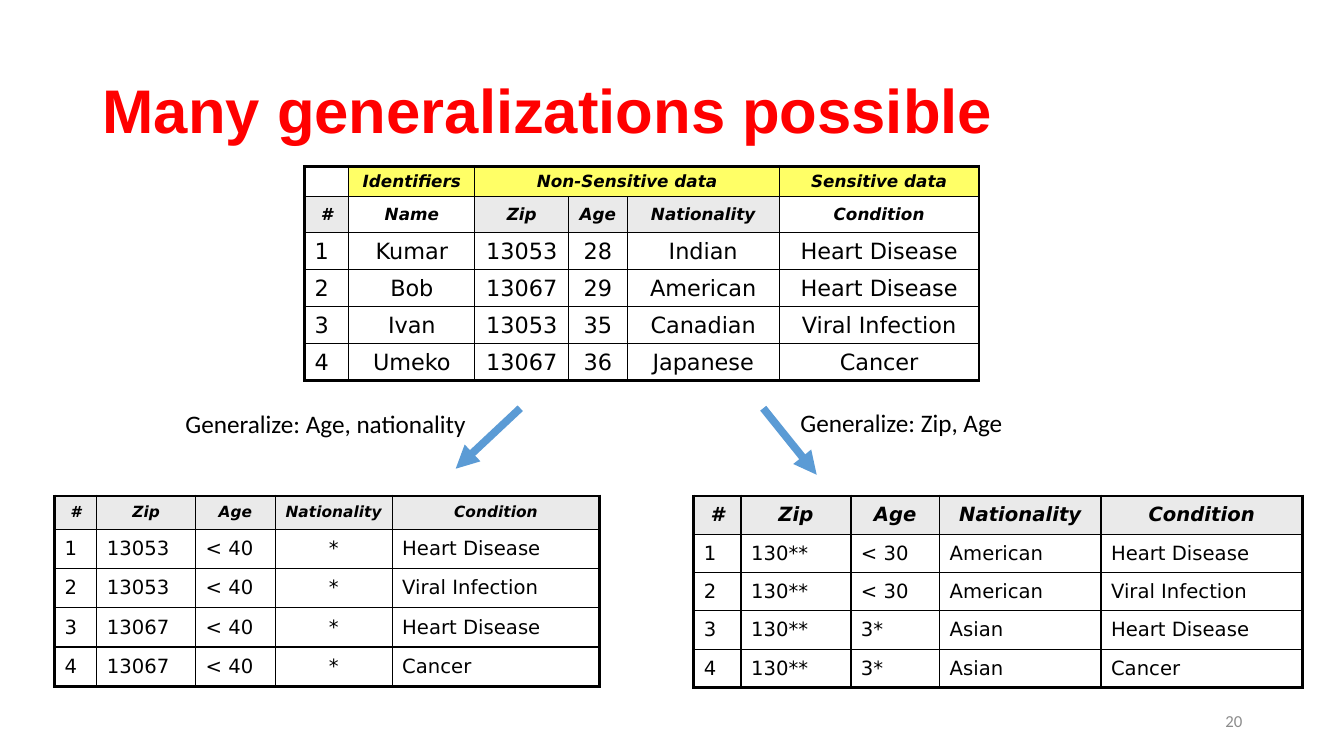
from dataclasses import dataclass

from lxml import etree
from pptx import Presentation
from pptx.dml.color import RGBColor
from pptx.enum.shapes import MSO_CONNECTOR
from pptx.enum.text import MSO_ANCHOR, MSO_AUTO_SIZE, PP_ALIGN
from pptx.oxml.ns import qn
from pptx.slide import Slide
from pptx.table import _Cell
from pptx.text.text import _Paragraph
from pptx.util import Inches, Pt

STRAIGHT = MSO_CONNECTOR.STRAIGHT
TOP, MIDDLE = MSO_ANCHOR.TOP, MSO_ANCHOR.MIDDLE
FIT_SHAPE, NO_FIT = MSO_AUTO_SIZE.SHAPE_TO_FIT_TEXT, MSO_AUTO_SIZE.NONE
LEFT, CENTER, RIGHT = PP_ALIGN.LEFT, PP_ALIGN.CENTER, PP_ALIGN.RIGHT

COLORS = {
    "title": "FF0000",
    "text": "000000",
    "border": "000000",
    "group": "FFFF66",
    "header": "EAEAEA",
    "body": "FFFFFF",
    "arrow": "5B9BD5",
    "page": "8C8C8C",
}
TABLE_FONT = "DejaVu Sans"
INNER_BORDER, OUTER_BORDER = 1, 2.25


@dataclass
class Label:
    text: str
    box: tuple[float, float, float, float]
    size: float
    font: str = "Calibri"
    color: str = "text"
    bold: bool = False
    align: PP_ALIGN = LEFT
    anchor: MSO_ANCHOR = TOP
    wrap: bool = True
    line_spacing: float = 1.0


@dataclass
class Arrow:
    start: tuple[float, float]
    end: tuple[float, float]


@dataclass
class DataTable:
    """A grid whose first header_rows rows are bold, italic and centred."""
    left: float
    top: float
    widths: list[float]
    heights: list[float]
    rows: list[list[str]]
    header_size: float
    body_size: float
    centered: tuple[int, ...] = ()
    header_rows: int = 1
    plain_headers: tuple[int, ...] = ()
    merge: tuple[int, int] | None = None


LABELS = [
    Label("Many generalizations possible", (0.92, 0.4, 11.5, 1.45), 44, font="Arial",
          color="title", bold=True, anchor=MIDDLE, line_spacing=0.9),
    Label("Generalize: Age, nationality", (1.74, 4, 3.02, 0.4), 18, wrap=False),
    Label("Generalize: Zip, Age", (7.84, 3.99, 2.23, 0.4), 18, wrap=False),
    Label("20", (9.42, 6.95, 3, 0.4), 12, color="page", align=RIGHT, anchor=MIDDLE),
]

ARROWS = [Arrow((5.16, 4.05), (4.52, 4.65)), Arrow((7.57, 4.05), (8.1, 4.71))]

TABLES = [
    DataTable(
        3.02, 1.65, [0.44, 1.25, 0.93, 0.58, 1.51, 1.98], [0.3] + [0.36] * 5,
        [
            ["", "Identifiers", "Non-Sensitive data", "", "", "Sensitive data"],
            ["#", "Name", "Zip", "Age", "Nationality", "Condition"],
            ["1", "Kumar", "13053", "28", "Indian", "Heart Disease"],
            ["2", "Bob", "13067", "29", "American", "Heart Disease"],
            ["3", "Ivan", "13053", "35", "Canadian", "Viral Infection"],
            ["4", "Umeko", "13067", "36", "Japanese", "Cancer"],
        ],
        header_size=12, body_size=16, centered=(1, 2, 3, 4, 5),
        header_rows=2, plain_headers=(1, 5), merge=(2, 4),
    ),
    DataTable(
        0.54, 4.92, [0.42, 0.98, 0.79, 1.16, 2.06], [0.33] + [0.39] * 4,
        [
            ["#", "Zip", "Age", "Nationality", "Condition"],
            ["1", "13053", "< 40", "*", "Heart Disease"],
            ["2", "13053", "< 40", "*", "Viral Infection"],
            ["3", "13067", "< 40", "*", "Heart Disease"],
            ["4", "13067", "< 40", "*", "Cancer"],
        ],
        header_size=11, body_size=14, centered=(3,),
    ),
    DataTable(
        6.88, 4.92, [0.47, 1.09, 0.88, 1.6, 2], [0.38] * 5,
        [
            ["#", "Zip", "Age", "Nationality", "Condition"],
            ["1", "130**", "< 30", "American", "Heart Disease"],
            ["2", "130**", "< 30", "American", "Viral Infection"],
            ["3", "130**", "3*", "Asian", "Heart Disease"],
            ["4", "130**", "3*", "Asian", "Cancer"],
        ],
        header_size=14, body_size=14,
    ),
]


def rgb(name: str) -> RGBColor:
    return RGBColor.from_string(COLORS[name])


def write(paragraph: _Paragraph, text: str, color: str, formats: dict) -> None:
    run = paragraph.add_run()
    run.text = text
    for attribute, value in formats.items():
        setattr(run.font, attribute, value)
    run.font.color.rgb = rgb(color)


def add_label(slide: Slide, label: Label) -> None:
    frame = slide.shapes.add_textbox(*map(Inches, label.box)).text_frame
    frame.word_wrap = label.wrap
    frame.auto_size = NO_FIT if label.wrap else FIT_SHAPE
    frame.vertical_anchor = label.anchor
    paragraph = frame.paragraphs[0]
    paragraph.alignment = label.align
    paragraph.line_spacing = label.line_spacing
    write(paragraph, label.text, label.color,
          {"name": label.font, "size": Pt(label.size), "bold": label.bold})


def add_arrow(slide: Slide, arrow: Arrow) -> None:
    connector = slide.shapes.add_connector(STRAIGHT, *map(Inches, arrow.start + arrow.end))
    connector.line.color.rgb = rgb("arrow")
    connector.line.width = Pt(5.5)
    etree.SubElement(connector.line._get_or_add_ln(), qn("a:tailEnd"), type="triangle")
    etree.SubElement(connector._element.spPr, qn("a:effectLst"))


def set_borders(cell: _Cell, outer_sides: dict[str, bool]) -> None:
    properties = cell._tc.get_or_add_tcPr()
    for side, is_outer in outer_sides.items():
        width = Pt(OUTER_BORDER if is_outer else INNER_BORDER)
        line = etree.SubElement(properties, qn(f"a:ln{side}"), w=str(width))
        fill = etree.SubElement(line, qn("a:solidFill"))
        etree.SubElement(fill, qn("a:srgbClr"), val=COLORS["border"])


def cell_fill(data: DataTable, row: int, column: int) -> str:
    if row >= data.header_rows:
        return "body"
    if row < data.header_rows - 1:
        return "group" if column else "body"
    return "body" if column in data.plain_headers else "header"


def add_data_table(slide: Slide, data: DataTable) -> None:
    row_count, column_count = len(data.heights), len(data.widths)
    size = (sum(data.widths), sum(data.heights))
    table = slide.shapes.add_table(row_count, column_count,
                                   *map(Inches, (data.left, data.top, *size))).table
    table.first_row = table.horz_banding = False
    for column, width in zip(table.columns, data.widths):
        column.width = Inches(width)
    for row_index, (row, height) in enumerate(zip(table.rows, data.heights)):
        row.height = Inches(height)
        is_header = row_index < data.header_rows
        points = Pt(data.header_size if is_header else data.body_size)
        formats = {"name": TABLE_FONT, "size": points, "bold": is_header, "italic": is_header}
        for column_index, text in enumerate(data.rows[row_index]):
            cell = table.cell(row_index, column_index)
            set_borders(cell, {"L": column_index == 0, "R": column_index == column_count - 1,
                               "T": row_index == 0, "B": row_index == row_count - 1})
            cell.fill.solid()
            cell.fill.fore_color.rgb = rgb(cell_fill(data, row_index, column_index))
            cell.vertical_anchor = MIDDLE
            paragraph = cell.text_frame.paragraphs[0]
            paragraph.alignment = CENTER if is_header or column_index in data.centered else LEFT
            if text:
                write(paragraph, text, "text", formats)
            else:
                etree.SubElement(paragraph._p, qn("a:endParaRPr"), sz=str(int(points.pt * 100)))
    if data.merge:
        first, last = data.merge
        table.cell(0, first).merge(table.cell(0, last))


def main() -> None:
    presentation = Presentation()
    presentation.slide_width, presentation.slide_height = Inches(13.33), Inches(7.5)
    slide = presentation.slides.add_slide(presentation.slide_layouts[6])
    for add, items in ((add_label, LABELS), (add_data_table, TABLES), (add_arrow, ARROWS)):
        for item in items:
            add(slide, item)
    presentation.save("out.pptx")


if __name__ == "__main__":
    main()
